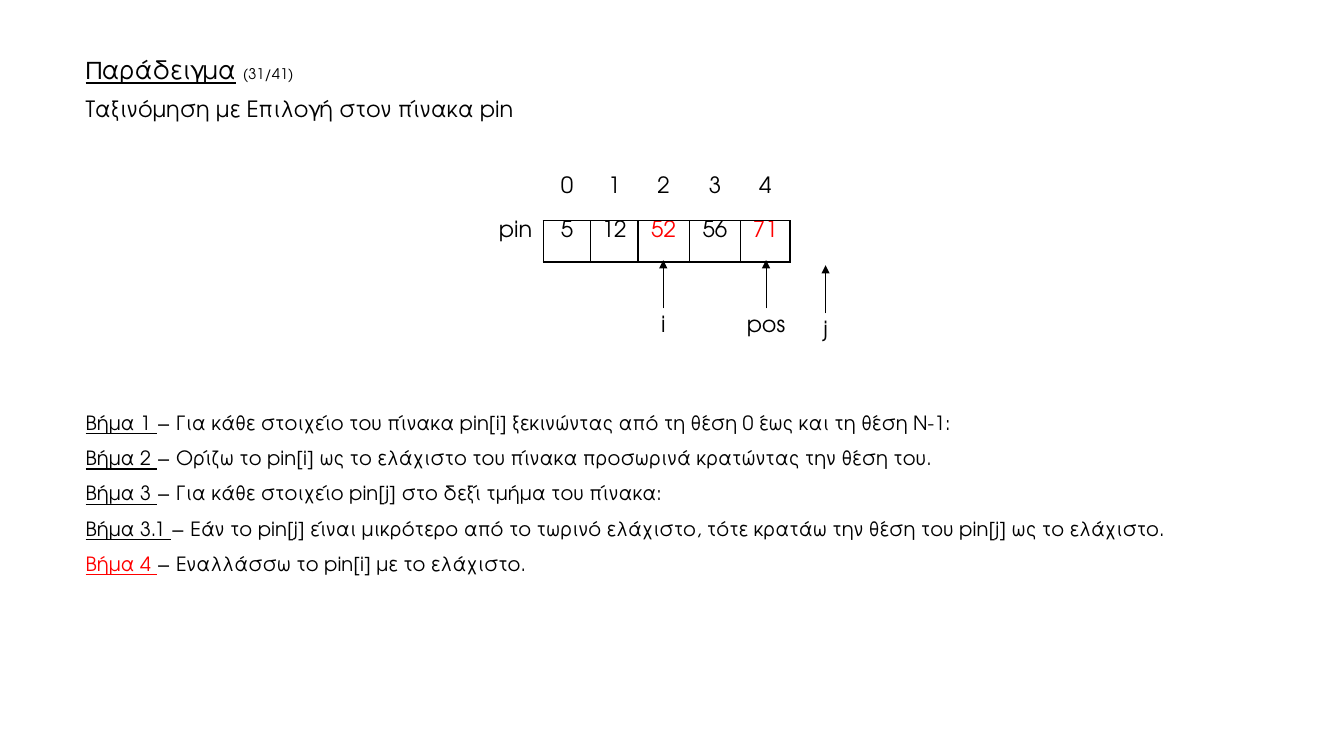
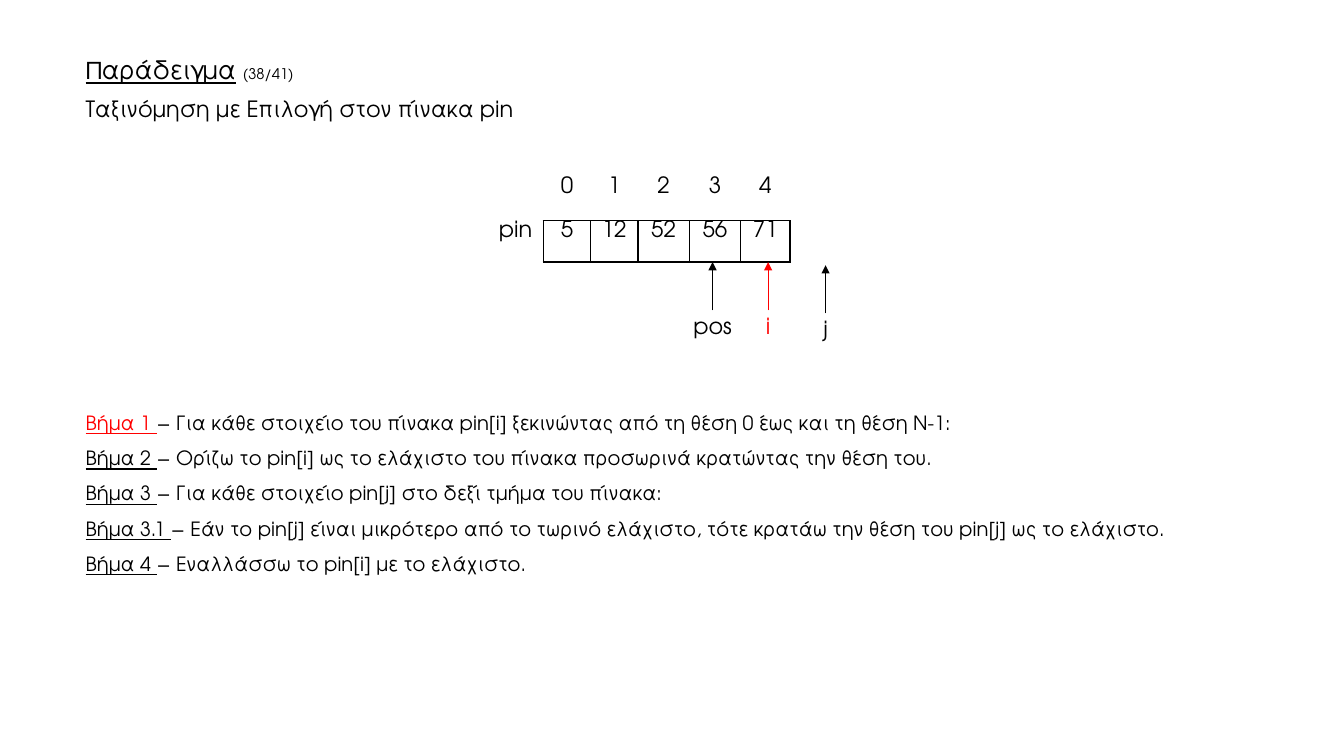
from dataclasses import dataclass

import pptx
import pptx.dml.color
import pptx.enum.shapes
import pptx.enum.text
import pptx.oxml
import pptx.oxml.ns
import pptx.util

Pt = pptx.util.Pt
RGBColor = pptx.dml.color.RGBColor
CENTER = pptx.enum.text.PP_ALIGN.CENTER


@dataclass(frozen=True)
class Theme:
    font: str = "TeX Gyre Adventor"
    ink: str = "000000"
    accent: str = "FF0000"
    title: float = 18
    body: float = 16
    step: float = 14
    counter: float = 10.5
    border: float = 1
    arrow: float = 0.5


T = Theme()

# Boxes are left, top, width, height in points.
HEADING_BOX = (54, 37.5, 777, 55.5)
ARRAY_BOX = (348.5, 126.7, 215.9, 60.5)
STEPS_BOX = (54, 281.5, 830, 131)
COLUMN_WIDTHS = (39.6, 33.8, 33.8, 36.7, 36.7, 35.3)
INDEX_ROW_HEIGHT = 31
ARROW_LENGTH = 34.5
LABEL_HEIGHT = 26

VALUES = (5, 12, 52, 56, 71)
STEPS = (
    ("1", "Για κάθε στοιχείο του πίνακα pin[i] ξεκινώντας από τη θέση 0 έως και τη θέση Ν-1:"),
    ("2", "Ορίζω το pin[i] ως το ελάχιστο του πίνακα προσωρινά κρατώντας την θέση του."),
    ("3", "Για κάθε στοιχείο pin[j] στο δεξί τμήμα του πίνακα:"),
    ("3.1", "Εάν το pin[j] είναι μικρότερο από το τωρινό ελάχιστο, τότε κρατάω την θέση του pin[j] ως το ελάχιστο."),
    ("4", "Εναλλάσσω το pin[i] με το ελάχιστο."),
)


@dataclass(frozen=True)
class Pointer:
    """Arrow to a cell: x of its middle and drop of its tip, from the array's left and bottom."""
    name: str
    x: float
    drop: float
    width: float = 17.5
    color: str = T.ink


J_POINTER = Pointer("j", 241.2, 2.2)
SLIDES = (
    dict(number=31, active_step="4", marked=(2, 4), pointers=(
        Pointer("i", 125.3, -1.4), Pointer("pos", 198.7, -1.4, 70.5), J_POINTER)),
    dict(number=38, active_step="1", marked=(), pointers=(
        Pointer("i", 200.2, 0, color=T.accent), Pointer("pos", 160.5, 0, 70.5), J_POINTER)),
)


def add_run(p, text, size=T.body, color=T.ink, underline=False):
    r = p.add_run()
    r.text = text
    r.font.name = T.font
    r.font.size = Pt(size)
    r.font.color.rgb = RGBColor.from_string(color)
    r.font.underline = underline


def write(tf, lines, align=None, spacing=None, gap=0, **style):
    """Fill a text frame; a line is a list of (text, format) pairs."""
    for n, line in enumerate(lines):
        p = tf.add_paragraph() if n else tf.paragraphs[0]
        p.alignment = align
        p.line_spacing = spacing
        p.space_before = Pt(gap if n else 0)
        for text, fmt in line:
            add_run(p, text, **{**style, **fmt})


def add_text(s, box, lines, **style):
    sp = s.shapes.add_textbox(*map(Pt, box))
    sp.text_frame.word_wrap = True
    write(sp.text_frame, lines, **style)
    return sp


def add_heading(s, box, number):
    add_text(s, box, [
        [("Παράδειγμα", dict(size=T.title, underline=True)),
         (" ", dict(size=T.title)),
         (f"({number}/41)", dict(size=T.counter))],
        [("Ταξινόμηση με Επιλογή στον πίνακα pin", {})],
    ], spacing=0.9, gap=10)


def add_steps(s, box, active):
    add_text(s, box, [
        [(f"Βήμα {name} ", dict(underline=True, color=T.accent if name == active else T.ink)),
         (f"− {text}", {})]
        for name, text in STEPS
    ], size=T.step, spacing=1.5)


def set_borders(cell, sides):
    """Draw the named sides (out of LRTB) and leave the others without a line."""
    tc_pr = cell._tc.get_or_add_tcPr()
    for n, side in enumerate("LRTB"):
        fill = f'<a:solidFill><a:srgbClr val="{T.ink}"/></a:solidFill>' if side in sides else "<a:noFill/>"
        tc_pr.insert(n, pptx.oxml.parse_xml(
            f'<a:ln{side} {pptx.oxml.ns.nsdecls("a")} w="{Pt(T.border)}">{fill}</a:ln{side}>'))


def add_array(s, box, marked):
    """Table with the indices above the values of pin."""
    table = s.shapes.add_table(2, len(COLUMN_WIDTHS), *map(Pt, box)).table
    table.first_row = table.horz_banding = False
    for column, width in zip(table.columns, COLUMN_WIDTHS):
        column.width = Pt(width)
    for row, height in zip(table.rows, (INDEX_ROW_HEIGHT, box[3] - INDEX_ROW_HEIGHT)):
        row.height = Pt(height)
    rows = (("", *range(len(VALUES))), ("pin", *VALUES))
    borders = (("", "B"), ("R", "LRTB"))
    for y, texts in enumerate(rows):
        for x, text in enumerate(texts):
            cell = table.cell(y, x)
            cell.margin_left = cell.margin_right = cell.margin_top = cell.margin_bottom = 0
            cell.fill.background()
            set_borders(cell, borders[y][x > 0])
            color = T.accent if y and x - 1 in marked else T.ink
            write(cell.text_frame, [[(str(text), {})]], align=CENTER, color=color)


def add_pointer(s, box, pointer):
    """Label below the array box with an arrow up to it."""
    x = box[0] + pointer.x
    tip = box[1] + box[3] + pointer.drop
    label_top = tip + ARROW_LENGTH
    label = add_text(s, (x - pointer.width / 2, label_top, pointer.width, LABEL_HEIGHT),
                     [[(pointer.name, {})]], align=CENTER, spacing=0.9, color=pointer.color)
    arrow = s.shapes.add_connector(pptx.enum.shapes.MSO_CONNECTOR.STRAIGHT,
                                   Pt(x), Pt(label_top), Pt(x), Pt(tip))
    arrow.begin_connect(label, 0)
    arrow.line.width = Pt(T.arrow)
    arrow.line.color.rgb = RGBColor.from_string(pointer.color)
    ns = pptx.oxml.ns.nsdecls("a")
    arrow.line._get_or_add_ln().append(pptx.oxml.parse_xml(f'<a:tailEnd {ns} type="triangle"/>'))
    arrow._element.spPr.append(pptx.oxml.parse_xml(f"<a:effectLst {ns}/>"))


def add_example(prs, number, active_step, marked, pointers):
    s = prs.slides.add_slide(prs.slide_layouts[6])
    add_steps(s, STEPS_BOX, active_step)
    add_heading(s, HEADING_BOX, number)
    add_array(s, ARRAY_BOX, marked)
    for pointer in pointers:
        add_pointer(s, ARRAY_BOX, pointer)


def main():
    prs = pptx.Presentation()
    prs.slide_width, prs.slide_height = Pt(960), Pt(540)
    for content in SLIDES:
        add_example(prs, **content)
    prs.save("out.pptx")


if __name__ == "__main__":
    main()
